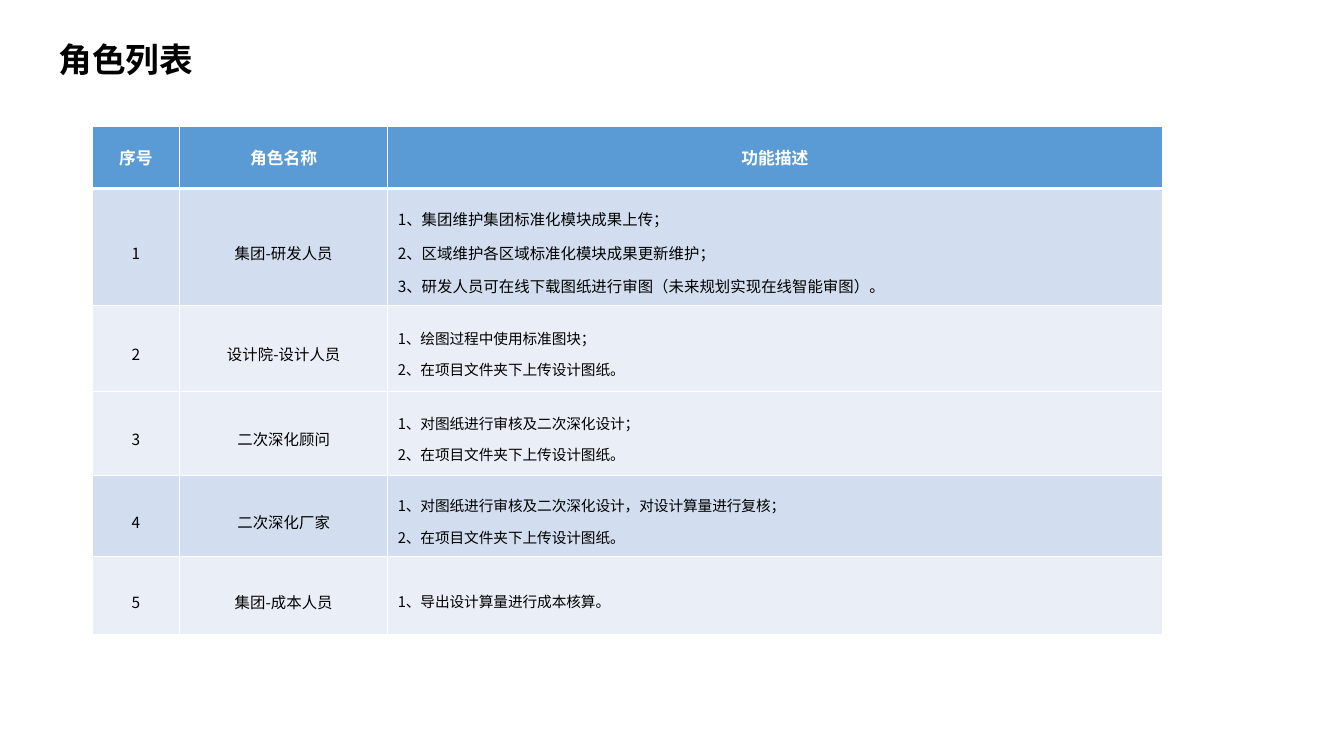
from dataclasses import dataclass

from lxml.etree import SubElement
from pptx import Presentation
from pptx.dml.color import RGBColor
from pptx.enum.text import MSO_ANCHOR, MSO_AUTO_SIZE, PP_ALIGN
from pptx.oxml.ns import qn
from pptx.util import Cm, Pt


@dataclass(frozen=True)
class Theme:
    title_font: str = "Arial"
    body_font: str = "Noto Sans CJK SC"
    title_size: float = 24
    header_size: float = 12
    cell_size: float = 11
    detail_size: float = 10.5
    text: str = "000000"
    white: str = "FFFFFF"
    header_fill: str = "5B9BD5"
    dark_band: str = "D2DEEF"
    light_band: str = "EAEFF7"


theme = Theme()


def add_run(paragraph, text, font_name, size, color, bold=False):
    run = paragraph.add_run()
    run.text = text
    run.font.name = font_name
    run.font.size = Pt(size)
    run.font.bold = bold
    run.font.color.rgb = RGBColor.from_string(color)
    east_asian = SubElement(run.font._element, qn("a:ea"))
    east_asian.set("typeface", theme.body_font)


def style_cell(cell, fill_color, top_width, bottom_width):
    """Centre the cell vertically and give it white borders and a solid fill."""
    cell.vertical_anchor = MSO_ANCHOR.MIDDLE
    properties = cell._tc.get_or_add_tcPr()
    widths = {"a:lnL": 1, "a:lnR": 1, "a:lnT": top_width, "a:lnB": bottom_width}
    for tag, width in widths.items():
        line = SubElement(properties, qn(tag), w=str(Pt(width)))
        line_fill = SubElement(line, qn("a:solidFill"))
        SubElement(line_fill, qn("a:srgbClr"), val=theme.white)
    cell.fill.solid()
    cell.fill.fore_color.rgb = RGBColor.from_string(fill_color)


presentation = Presentation()
presentation.slide_width = Cm(33.87)
presentation.slide_height = Cm(19.05)
slide = presentation.slides.add_slide(presentation.slide_layouts[5])

# Title
title = slide.shapes.title
title.left, title.top, title.width, title.height = Cm(1.22), Cm(0.89), Cm(26.42), Cm(1.22)
title_frame = title.text_frame
title_frame.auto_size = MSO_AUTO_SIZE.NONE
title_frame.vertical_anchor = MSO_ANCHOR.MIDDLE
title_paragraph = title_frame.paragraphs[0]
title_paragraph.alignment = PP_ALIGN.LEFT
add_run(title_paragraph, "角色列表", theme.title_font, theme.title_size, theme.text, bold=True)

# Role table
headers = ["序号", "角色名称", "功能描述"]
upload_drawings = "2、在项目文件夹下上传设计图纸。"
roles = [
    ("集团-研发人员", theme.dark_band, theme.cell_size, [
        "1、集团维护集团标准化模块成果上传；",
        "2、区域维护各区域标准化模块成果更新维护；",
        "3、研发人员可在线下载图纸进行审图（未来规划实现在线智能审图）。",
    ]),
    ("设计院-设计人员", theme.light_band, theme.detail_size,
     ["1、绘图过程中使用标准图块；", upload_drawings]),
    ("二次深化顾问", theme.light_band, theme.detail_size,
     ["1、对图纸进行审核及二次深化设计；", upload_drawings]),
    ("二次深化厂家", theme.dark_band, theme.detail_size,
     ["1、对图纸进行审核及二次深化设计，对设计算量进行复核；", upload_drawings]),
    ("集团-成本人员", theme.light_band, theme.detail_size,
     ["1、导出设计算量进行成本核算。"]),
]
column_widths = [2.21, 5.24, 19.52]
row_heights = [1.57, 2.94, 2.17, 2.12, 2.04, 1.98]

table = slide.shapes.add_table(
    len(row_heights), len(column_widths), Cm(2.32), Cm(3.18),
    Cm(sum(column_widths)), Cm(sum(row_heights)),
).table
for column, width in zip(table.columns, column_widths):
    column.width = Cm(width)
for row, height in zip(table.rows, row_heights):
    row.height = Cm(height)

for column_index, header in enumerate(headers):
    cell = table.cell(0, column_index)
    style_cell(cell, theme.header_fill, top_width=1, bottom_width=3)
    paragraph = cell.text_frame.paragraphs[0]
    paragraph.alignment = PP_ALIGN.CENTER
    add_run(paragraph, header, theme.body_font, theme.header_size, theme.white, bold=True)

for number, (role, band, detail_size, duties) in enumerate(roles, start=1):
    columns = [
        ([str(number)], PP_ALIGN.CENTER, theme.cell_size),
        ([role], PP_ALIGN.CENTER, theme.cell_size),
        (duties, PP_ALIGN.LEFT, detail_size),
    ]
    for column_index, (lines, alignment, size) in enumerate(columns):
        cell = table.cell(number, column_index)
        style_cell(cell, band, top_width=3 if number == 1 else 1, bottom_width=1)
        frame = cell.text_frame
        for line_index, text in enumerate(lines):
            paragraph = frame.add_paragraph() if line_index else frame.paragraphs[0]
            paragraph.alignment = alignment
            paragraph.line_spacing = 1.5
            add_run(paragraph, text, theme.body_font, size, theme.text)

presentation.save("out.pptx")
